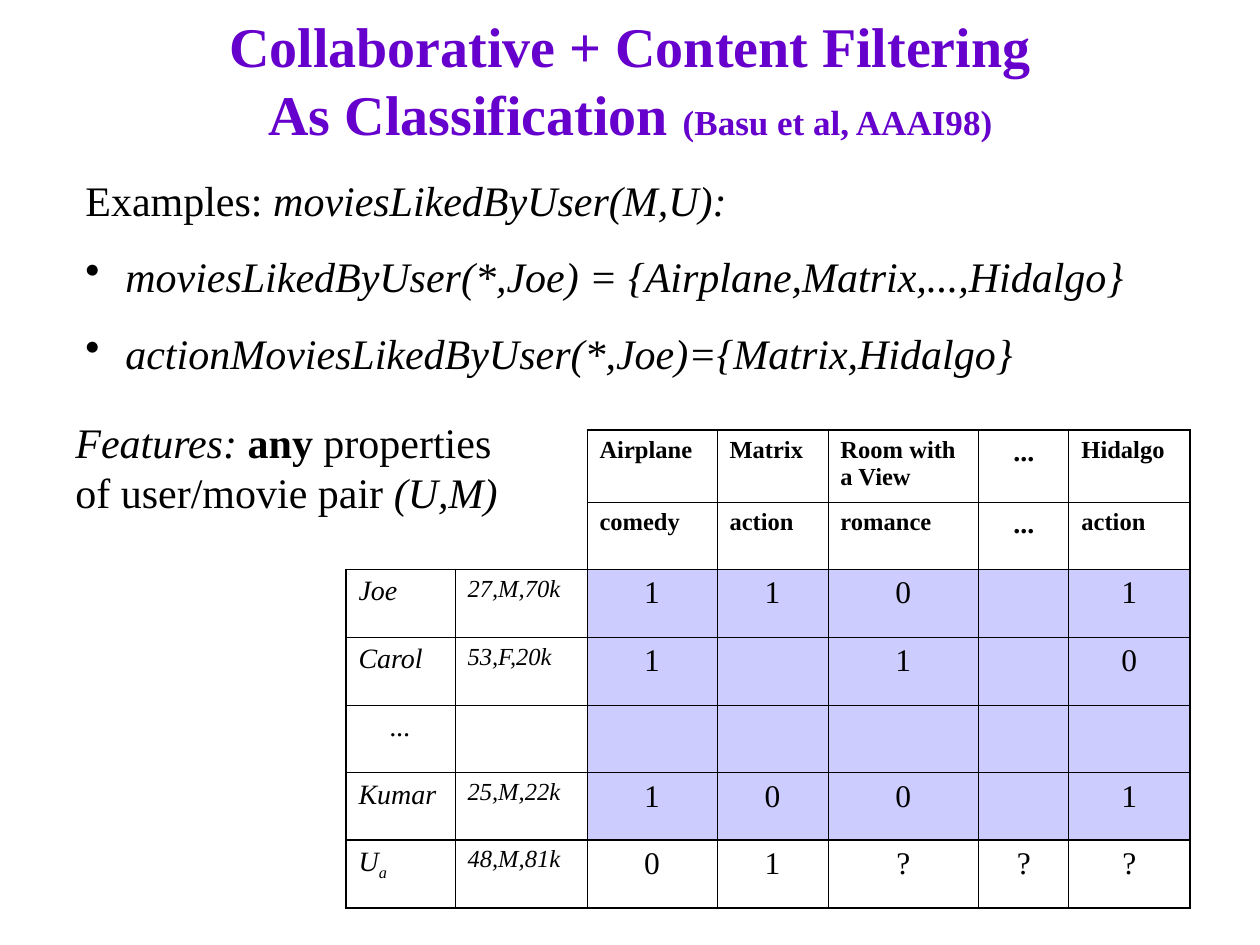
from lxml import etree
from pptx import Presentation, util as u
from pptx.dml.color import RGBColor
from pptx.enum import text as t
from pptx.oxml.ns import qn

PX = 914400 // 126
FONT = "Times New Roman"
BLACK = RGBColor(0x00, 0x00, 0x00)
VIOLET = RGBColor(0x66, 0x00, 0xCC)
LILAC = RGBColor(0xCC, 0xCC, 0xFF)
WHITE = RGBColor(0xFF, 0xFF, 0xFF)

BOLD, ITALIC = {"bold": True}, {"italic": True}
TITLE = [("Collaborative + Content Filtering\vAs Classification ", {}),
         ("(Basu et al, AAAI98)", {"size": 20})]
EXAMPLES = [
    [("Examples: ", {}), ("moviesLikedByUser(M,U):", ITALIC)],
    [("moviesLikedByUser(*,Joe) = {Airplane,Matrix,...,Hidalgo}", ITALIC)],
    [("actionMoviesLikedByUser(*,Joe)={Matrix,Hidalgo}", ITALIC)],
]
FEATURES = [("Features: ", ITALIC), ("any ", BOLD),
            ("properties of user/movie pair ", {}), ("(U,M)", ITALIC)]

ROWS = [
    ["", "", "Airplane", "Matrix", "Room with a View", "...", "Hidalgo"],
    ["", "", "comedy", "action", "romance", "...", "action"],
    ["Joe", "27,M,70k", "1", "1", "0", "", "1"],
    ["Carol", "53,F,20k", "1", "", "1", "", "0"],
    ["...", "", "", "", "", "", ""],
    ["Kumar", "25,M,22k", "1", "0", "0", "", "1"],
    ["U_a", "48,M,81k", "0", "1", "?", "?", "?"],
]
WIDTHS = [109, 132, 130, 111, 151, 90, 121]
HEIGHTS = [72, 67, 68, 68, 68, 67, 68]
HEADS = 2  # header rows, and likewise header columns
LAST = len(ROWS) - 1
THIN, THICK = 0.45, 1.08


def put(par, runs, **base):
    """Add runs to a paragraph, each with the base format plus its own."""
    for words, extra in runs:
        form = {"name": FONT, "color": BLACK, **base, **extra}
        for i, part in enumerate(words.split("\v")):
            if i:
                par.add_line_break()
            run = par.add_run()
            run.text = part
            for key, val in form.items():
                if key == "color":
                    run.font.color.rgb = val
                elif key == "sub":
                    run._r.get_or_add_rPr().set("baseline", "-25000")
                else:
                    setattr(run.font, key, u.Pt(val) if key == "size" else val)


def add_box(slide, x, y, w, h, anchor=t.MSO_ANCHOR.TOP):
    frame = slide.shapes.add_textbox(x * PX, y * PX, w * PX, h * PX).text_frame
    frame.word_wrap = True
    frame.vertical_anchor = anchor
    return frame


def add_bullet(par):
    props = par._p.get_or_add_pPr()
    props.set("marL", str(40 * PX))
    props.set("indent", str(-40 * PX))
    etree.SubElement(props, qn("a:buChar")).set("char", "•")


def is_blank(r, c):
    return r < HEADS and c < HEADS


def get_style(r, c, words):
    """Return font format and centring of a table cell."""
    dots = words == "..."
    if r < HEADS:
        return {"size": 16 if dots else 14, **BOLD}, dots
    if c < HEADS:
        return {"size": 14 if c else 16, **ITALIC}, dots
    return {"size": 18}, True


def get_edges(r, c):
    """Return the border widths left, right, top and bottom; 0 is no line."""
    if is_blank(r, c):
        return (0, 0 if is_blank(r, c + 1) else THIN,
                0, 0 if is_blank(r + 1, c) else THIN)
    return (THIN if c else THICK, THICK if c == LAST else THIN,
            THICK if r in (0, LAST) else THIN,
            THICK if r >= LAST - 1 else THIN)


def draw_edges(cell, edges):
    props = cell._tc.get_or_add_tcPr()
    for i, (side, wide) in enumerate(zip("LRTB", edges)):
        line = etree.Element(qn("a:ln" + side))
        props.insert(i, line)
        if wide:
            line.set("w", str(u.Pt(wide)))
            paint = etree.SubElement(line, qn("a:solidFill"))
            etree.SubElement(paint, qn("a:srgbClr")).set("val", str(BLACK))
        else:
            etree.SubElement(line, qn("a:noFill"))


def add_grid(slide, x, y):
    grid = slide.shapes.add_table(
        len(ROWS), len(WIDTHS), x * PX, y * PX,
        sum(WIDTHS) * PX, sum(HEIGHTS) * PX).table
    grid.first_row = grid.horz_banding = False
    for col, wide in zip(grid.columns, WIDTHS):
        col.width = wide * PX
    for r, (row, high) in enumerate(zip(ROWS, HEIGHTS)):
        grid.rows[r].height = high * PX
        for c, words in enumerate(row):
            cell = grid.cell(r, c)
            if HEADS <= r < LAST and c >= HEADS:
                cell.fill.solid()
                cell.fill.fore_color.rgb = LILAC
            else:
                cell.fill.background()
            draw_edges(cell, get_edges(r, c))
            if words:
                form, mid = get_style(r, c, words)
                par = cell.text_frame.paragraphs[0]
                par.alignment = t.PP_ALIGN.CENTER if mid else t.PP_ALIGN.LEFT
                main, _, low = words.partition("_")
                runs = [(main, {})] + ([(low, {"sub": True})] if low else [])
                put(par, runs, **form)


def main():
    deck = Presentation()
    deck.slide_width, deck.slide_height = 1260 * PX, 945 * PX
    slide = deck.slides.add_slide(deck.slide_layouts[6])
    slide.background.fill.solid()
    slide.background.fill.fore_color.rgb = WHITE

    par = add_box(slide, 95, 0, 1071, 158, t.MSO_ANCHOR.MIDDLE).paragraphs[0]
    par.alignment = t.PP_ALIGN.CENTER
    put(par, TITLE, size=32, color=VIOLET, **BOLD)

    add_grid(slide, 346, 430)
    put(add_box(slide, 63, 410, 473, 113).paragraphs[0], FEATURES, size=24)

    frame = add_box(slide, 73, 168, 1113, 217)
    for i, runs in enumerate(EXAMPLES):
        par = frame.add_paragraph() if i else frame.paragraphs[0]
        if i:
            par.space_before = u.Pt(15)
            add_bullet(par)
        put(par, runs, size=24)
    deck.save("out.pptx")


if __name__ == "__main__":
    main()
